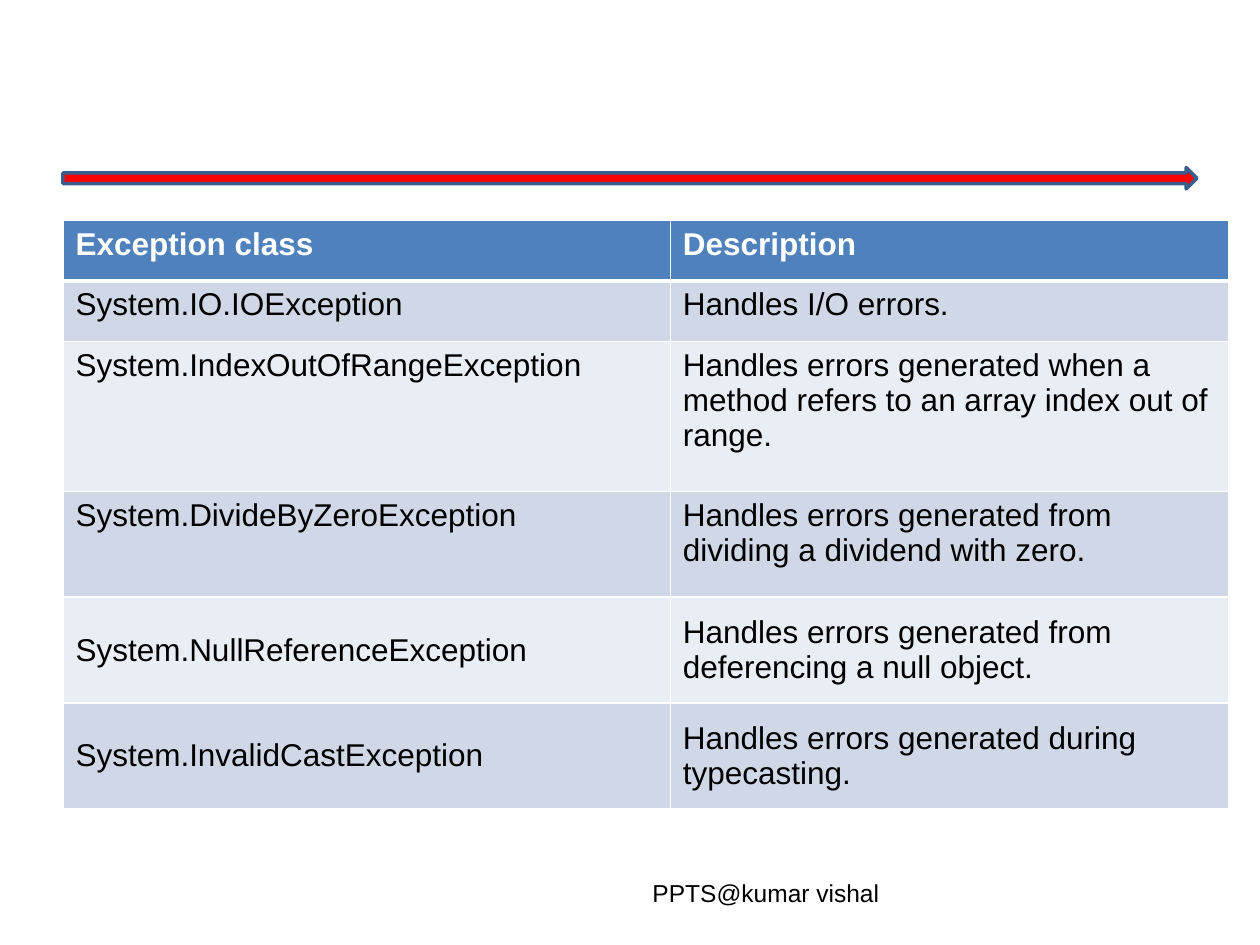
from lxml.etree import SubElement
from pptx import Presentation
from pptx.dml.color import RGBColor
from pptx.enum.shapes import MSO_SHAPE as SHAPE
from pptx.enum.text import MSO_ANCHOR as ANCHOR
from pptx.oxml.ns import qn
from pptx.util import Inches, Pt

WHITE = RGBColor(0xFF, 0xFF, 0xFF)
BLACK = RGBColor(0x00, 0x00, 0x00)
RED = RGBColor(0xFF, 0x00, 0x00)
OUTLINE = RGBColor(0x3A, 0x5F, 0x8C)
HEADER = RGBColor(0x4F, 0x81, 0xBD)
BANDS = [RGBColor(0xE9, 0xED, 0xF4), RGBColor(0xD0, 0xD8, 0xE8)]

FONT = "Arial"
LEFT = 0.5
COLUMNS = [4.82, 4.43]
HEIGHTS = [0.48, 0.48, 1.19, 0.84, 0.84, 0.84]
FIRST_MIDDLE_ROW = 4
ROWS = [
    ("Exception class", "Description"),
    ("System.IO.IOException", "Handles I/O errors."),
    ("System.IndexOutOfRangeException",
     "Handles errors generated when a method refers to an array index out of range."),
    ("System.DivideByZeroException",
     "Handles errors generated from dividing a dividend with zero."),
    ("System.NullReferenceException",
     "Handles errors generated from deferencing a null object."),
    ("System.InvalidCastException",
     "Handles errors generated during typecasting."),
]


def write(tf, text, size, color, bold=False):
    tf.text = text
    font = tf.paragraphs[0].runs[0].font
    font.name, font.size, font.bold = FONT, Pt(size), bold
    font.color.rgb = color


def add_arrow(s):
    sp = s.shapes.add_shape(SHAPE.RIGHT_ARROW, Inches(LEFT), Inches(1.33),
                            Inches(9), Inches(0.17))
    sp.shadow.inherit = False
    sp.fill.solid()
    sp.fill.fore_color.rgb = RED
    sp.line.color.rgb = OUTLINE
    sp.line.width = Pt(2)


def add_footer(s):
    sp = s.shapes.add_textbox(Inches(5.08), Inches(6.92), Inches(2.01), Inches(0.34))
    sp.text_frame.word_wrap = False
    write(sp.text_frame, "PPTS@kumar vishal", 14, BLACK)


def set_border(cell, side, width):
    ln = SubElement(cell._tc.get_or_add_tcPr(), qn(f"a:ln{side}"), w=str(Pt(width)))
    SubElement(SubElement(ln, qn("a:solidFill")), qn("a:srgbClr"), val=str(WHITE))


def format_cell(cell, text, row):
    is_header = row == 0
    write(cell.text_frame, text, 18, WHITE if is_header else BLACK, is_header)
    if row >= FIRST_MIDDLE_ROW:
        cell.vertical_anchor = ANCHOR.MIDDLE
    for side in "LRTB":
        thick = (is_header and side == "B") or (row == 1 and side == "T")
        set_border(cell, side, 3 if thick else 1)
    cell.fill.solid()
    cell.fill.fore_color.rgb = HEADER if is_header else BANDS[row % 2]


def add_exception_table(s):
    table = s.shapes.add_table(len(ROWS), len(COLUMNS), Inches(LEFT), Inches(1.75),
                               Inches(sum(COLUMNS)), Inches(sum(HEIGHTS))).table
    for column, width in zip(table.columns, COLUMNS):
        column.width = Inches(width)
    for i, (row, height) in enumerate(zip(table.rows, HEIGHTS)):
        row.height = Inches(height)
        for cell, text in zip(row.cells, ROWS[i]):
            format_cell(cell, text, i)


def main():
    prs = Presentation()
    prs.slide_width, prs.slide_height = Inches(10), Inches(7.5)
    s = prs.slides.add_slide(prs.slide_layouts[6])
    add_arrow(s)
    add_footer(s)
    add_exception_table(s)
    prs.save("out.pptx")


if __name__ == "__main__":
    main()
